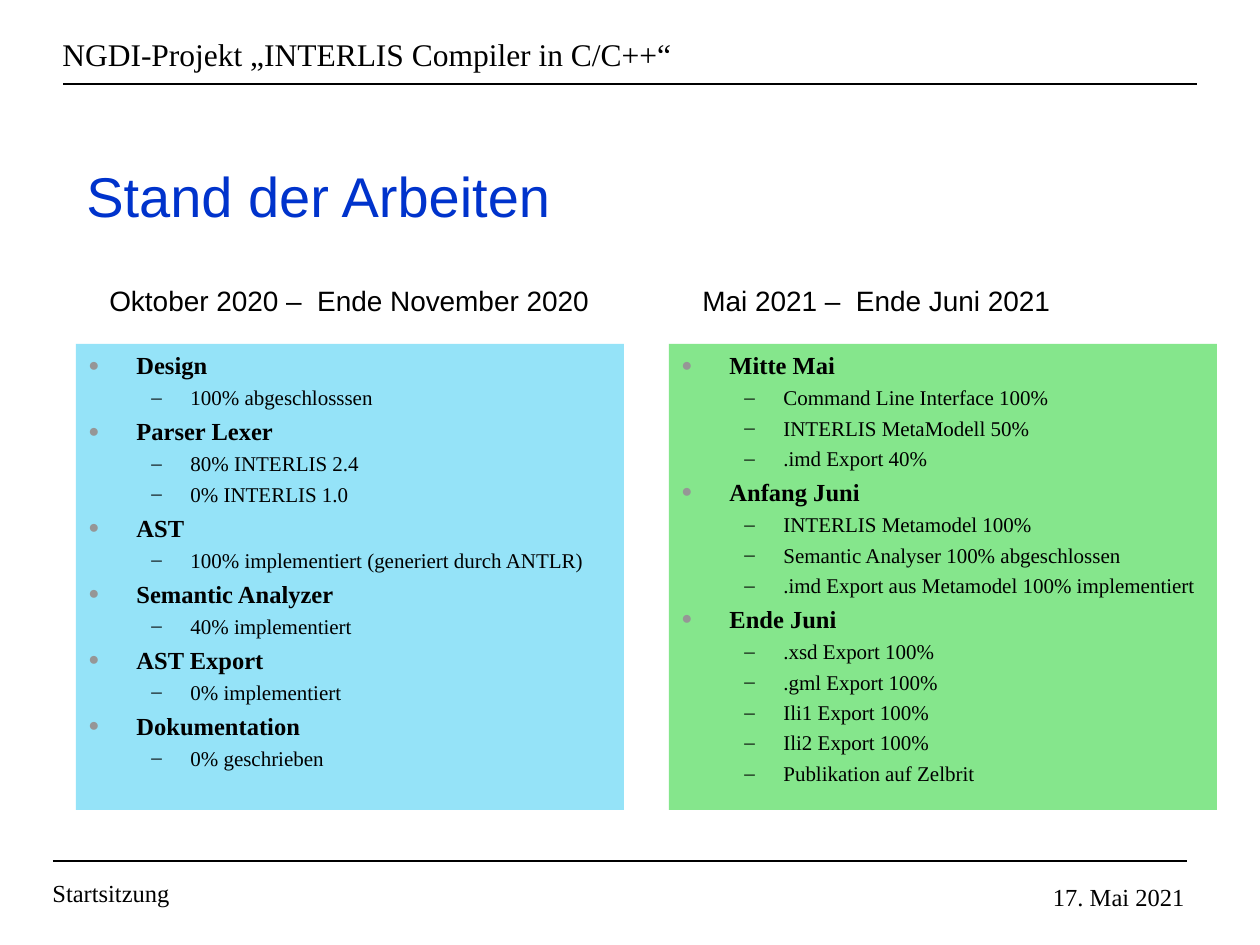
from dataclasses import dataclass

from lxml.etree import SubElement
from pptx import Presentation
from pptx.dml.color import RGBColor
from pptx.enum.shapes import MSO_CONNECTOR as CONN, MSO_SHAPE as SHAPE
from pptx.enum.text import MSO_ANCHOR as ANCHOR, MSO_AUTO_SIZE as FIT, PP_ALIGN as ALIGN
from pptx.oxml.ns import qn
from pptx.util import Emu, Pt

EMU_PER_PX = 914400 / 126
SERIF, SANS = "Times New Roman", "Arial"
BLACK, GREY, BLUE = "000000", "969696", "0033CC"


@dataclass(frozen=True)
class Label:
    text: str
    x: int
    y: int
    w: int
    h: int
    size: int
    font: str = SERIF
    color: str = BLACK
    align: ALIGN = ALIGN.LEFT
    wrap: bool = True


@dataclass(frozen=True)
class Rule:
    x: int
    y: int


@dataclass(frozen=True)
class Level:
    size: int
    bold: bool
    before: float
    margin: int
    hanging: int
    bullet: str
    bullet_color: str
    bullet_percent: int


@dataclass(frozen=True)
class Panel:
    x: int
    fill: str
    opacity: int
    topics: dict[str, list[str]]


LEVELS = [
    Level(14, True, 3.5, 48, 48, "●", GREY, 75),
    Level(12, False, 3, 102, 39, "–", BLACK, 100),
]

RULES = [Rule(63, 84), Rule(53, 861)]

LABELS = [
    Label("Startsitzung", 40, 872, 548, 42, 14),
    Label("NGDI-Projekt „INTERLIS Compiler in C/C++“", 50, 29, 1157, 50, 18),
    Label("17. Mai 2021", 935, 876, 262, 42, 14, align=ALIGN.RIGHT),
    Label("Stand der Arbeiten", 74, 155, 493, 81, 32, SANS, BLUE, wrap=False),
    Label("Oktober 2020 –  Ende November 2020", 97, 277, 505, 47, 16, SANS, wrap=False),
    Label("Mai 2021 –  Ende Juni 2021", 690, 277, 373, 47, 16, SANS, wrap=False),
]

PANELS = [
    Panel(76, "2DC9F3", 50, {
        "Design": ["100% abgeschlosssen"],
        "Parser Lexer": ["80% INTERLIS 2.4", "0% INTERLIS 1.0"],
        "AST": ["100% implementiert (generiert durch ANTLR)"],
        "Semantic Analyzer": ["40% implementiert"],
        "AST Export": ["0% implementiert"],
        "Dokumentation": ["0% geschrieben"],
    }),
    Panel(669, "46DA51", 66, {
        "Mitte Mai": [
            "Command Line Interface 100%",
            "INTERLIS MetaModell 50%",
            ".imd Export 40%",
        ],
        "Anfang Juni": [
            "INTERLIS Metamodel 100%",
            "Semantic Analyser 100% abgeschlossen",
            ".imd Export aus Metamodel 100% implementiert",
        ],
        "Ende Juni": [
            ".xsd Export 100%",
            ".gml Export 100%",
            "Ili1 Export 100%",
            "Ili2 Export 100%",
            "Publikation auf Zelbrit",
        ],
    }),
]


def px(n: int) -> Emu:
    """Turn pixels into EMU."""
    return Emu(round(n * EMU_PER_PX))


def rgb(color: str) -> RGBColor:
    """Turn a hex string into a colour."""
    return RGBColor.from_string(color)


def style(p, size: int, font: str, color: str, bold: bool = False) -> None:
    """Format every run of a paragraph."""
    for r in p.runs:
        r.font.size = Pt(size)
        r.font.name = font
        r.font.bold = bold
        r.font.color.rgb = rgb(color)


def add_label(s, label: Label) -> None:
    """Draw a single line of text."""
    sp = s.shapes.add_textbox(px(label.x), px(label.y), px(label.w), px(label.h))
    tf = sp.text_frame
    tf.word_wrap = label.wrap
    tf.auto_size = FIT.SHAPE_TO_FIT_TEXT
    tf.text = label.text
    p = tf.paragraphs[0]
    p.alignment = label.align
    style(p, label.size, label.font, label.color)


def add_rule(s, rule: Rule) -> None:
    """Draw a horizontal black line across the slide."""
    sp = s.shapes.add_connector(
        CONN.STRAIGHT, px(rule.x), px(rule.y), px(rule.x + 1134), px(rule.y))
    sp.line.color.rgb = rgb(BLACK)
    sp.line.width = Pt(1)
    SubElement(sp._element.spPr, qn("a:effectLst"))


def format_item(p, depth: int) -> None:
    """Apply the indent, bullet and font of a list level."""
    level = LEVELS[depth]
    p.level = depth
    p.alignment = ALIGN.LEFT
    p.space_before = Pt(level.before)
    style(p, level.size, SERIF, BLACK, level.bold)
    pPr = p._p.get_or_add_pPr()
    pPr.set("marL", str(px(level.margin)))
    pPr.set("indent", str(-px(level.hanging)))
    clr = SubElement(pPr, qn("a:buClr"))
    SubElement(clr, qn("a:srgbClr"), val=level.bullet_color)
    SubElement(pPr, qn("a:buSzPct"), val=str(level.bullet_percent * 1000))
    SubElement(pPr, qn("a:buFont"), typeface=SERIF)
    SubElement(pPr, qn("a:buChar"), char=level.bullet)


def add_panel(s, panel: Panel) -> None:
    """Draw a tinted box with its two-level list."""
    sp = s.shapes.add_shape(SHAPE.RECTANGLE, px(panel.x), px(344), px(548), px(466))
    sp.shadow.inherit = False
    sp.line.fill.background()
    sp.fill.solid()
    sp.fill.fore_color.rgb = rgb(panel.fill)
    clr = sp._element.spPr.find(qn("a:solidFill")).find(qn("a:srgbClr"))
    SubElement(clr, qn("a:alpha"), val=str(panel.opacity * 1000))
    items = []
    for topic, details in panel.topics.items():
        items += [(topic, 0)] + [(detail, 1) for detail in details]
    tf = sp.text_frame
    tf.word_wrap = True
    tf.vertical_anchor = ANCHOR.TOP
    tf.text = "\n".join(text for text, _ in items)
    for p, (_, depth) in zip(tf.paragraphs, items):
        format_item(p, depth)


def main() -> None:
    """Build and save the status slide."""
    prs = Presentation()
    prs.slide_width, prs.slide_height = px(1260), px(945)
    s = prs.slides.add_slide(prs.slide_layouts[6])
    for rule in RULES:
        add_rule(s, rule)
    for panel in PANELS:
        add_panel(s, panel)
    for label in LABELS:
        add_label(s, label)
    prs.save("out.pptx")


if __name__ == "__main__":
    main()
